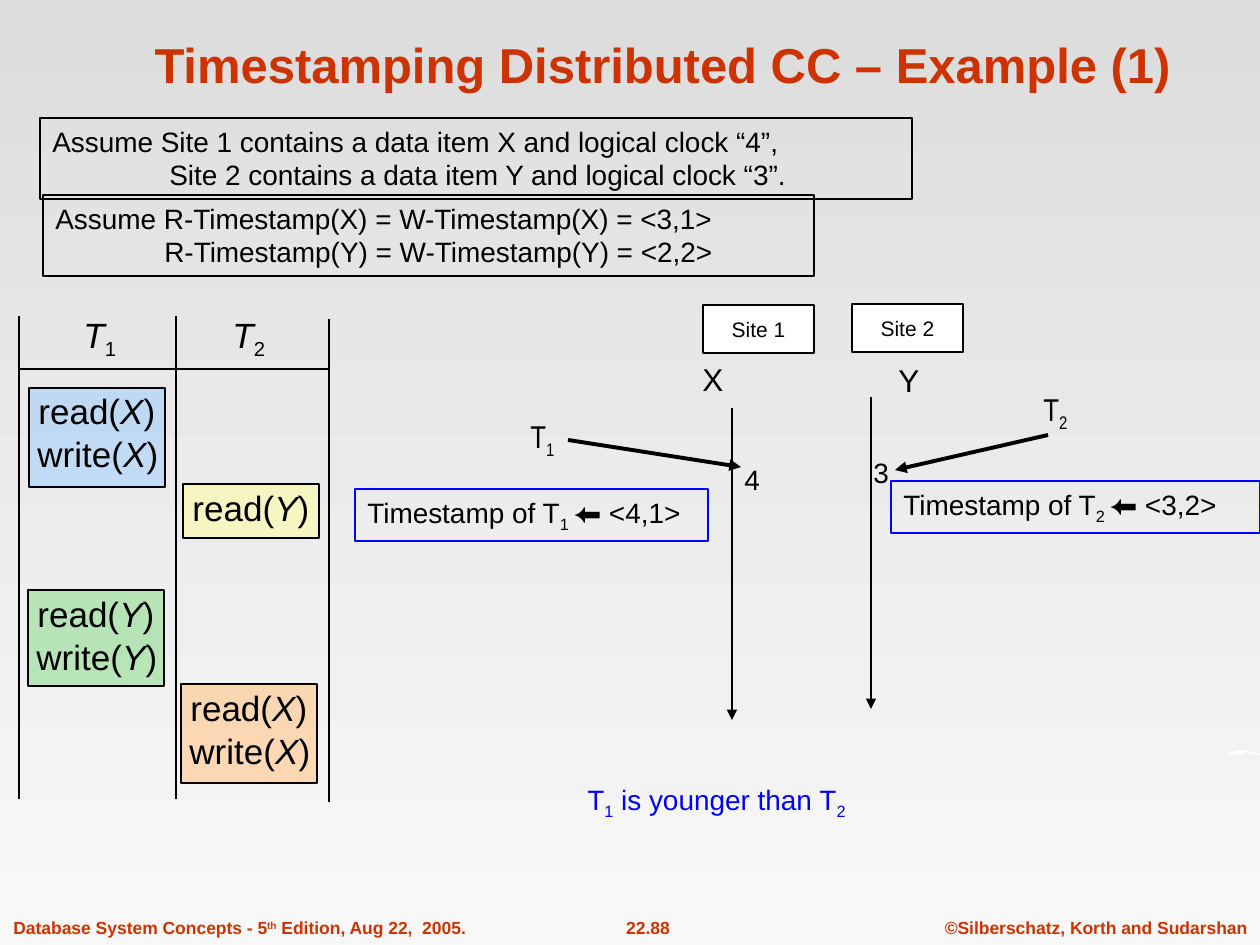
from dataclasses import dataclass

from lxml import etree
from pptx import Presentation
from pptx.dml.color import RGBColor
from pptx.enum.shapes import MSO_CONNECTOR, MSO_SHAPE
from pptx.enum.text import MSO_ANCHOR, MSO_AUTO_SIZE, PP_ALIGN
from pptx.oxml.ns import qn
from pptx.util import Pt

STRAIGHT = MSO_CONNECTOR.STRAIGHT
RECT = MSO_SHAPE.RECTANGLE
LEFT, CENTER = PP_ALIGN.LEFT, PP_ALIGN.CENTER
TOP, MIDDLE, BOTTOM = MSO_ANCHOR.TOP, MSO_ANCHOR.MIDDLE, MSO_ANCHOR.BOTTOM
FIT = MSO_AUTO_SIZE.SHAPE_TO_FIT_TEXT
EMU_PER_PX = 914400 / 126
BASELINE = {"sub": "-25000", "sup": "30000"}


@dataclass(frozen=True)
class Theme:
    font: str = "Arial"
    narrow: str = "Arial Narrow"
    accent: str = "CC3300"
    ink: str = "000000"
    blue: str = "0000FF"
    white: str = "FFFFFF"
    sky: str = "99CCFF"
    yellow: str = "FFFF99"
    green: str = "33CC33"
    orange: str = "FFCC99"
    bg_top: str = "DDDDDD"
    bg_bottom: str = "F8F8F8"
    title: int = 28
    schedule: int = 20
    label: int = 18
    body: int = 16
    site: int = 12
    footer: int = 10
    thin: float = 0.75
    thick: float = 2.25


T = Theme()


def px(n):
    return round(n * EMU_PER_PX)


def rgb(color):
    return RGBColor.from_string(color)


def write(p, runs, size, color=T.ink, font=T.font, bold=False, align=LEFT, indent=0):
    if indent:
        p._p.get_or_add_pPr().set("marL", str(px(indent)))
    p.alignment = align
    p.font.size = Pt(size)
    p.font.name = font
    p.font.bold = bold
    p.font.color.rgb = rgb(color)
    for text, mark in runs:
        r = p.add_run()
        r.text = text
        if mark == "i":
            r.font.italic = True
        elif mark:
            r._r.get_or_add_rPr().set("baseline", BASELINE[mark])


def label(s, box, runs, size, wrap=False, **style):
    tf = s.shapes.add_textbox(*map(px, box)).text_frame
    tf.word_wrap = wrap
    tf.auto_size = FIT
    write(tf.paragraphs[0], runs, size, **style)


def rect(s, box, fill=None, alpha=100, line=T.ink):
    sp = s.shapes.add_shape(RECT, *map(px, box))
    sp.shadow.inherit = False
    sp.line.color.rgb = rgb(line)
    sp.line.width = Pt(T.thin)
    if fill is None:
        sp.fill.background()
        return sp
    sp.fill.solid()
    sp.fill.fore_color.rgb = rgb(fill)
    if alpha < 100:
        color = sp._element.spPr.find(qn("a:solidFill"))[0]
        etree.SubElement(color, qn("a:alpha")).set("val", str(alpha * 1000))
    return sp


def note(s, box, lines, indent=0, line=T.ink):
    tf = rect(s, box, line=line).text_frame
    tf.word_wrap = True
    tf.vertical_anchor = TOP
    tf.auto_size = FIT
    for i, runs in enumerate(lines):
        p = tf.add_paragraph() if i else tf.paragraphs[0]
        write(p, runs, T.body, indent=indent if i else 0)


def site(s, box, name):
    tf = rect(s, box, fill=T.white).text_frame
    tf.word_wrap = False
    tf.vertical_anchor = MIDDLE
    write(tf.paragraphs[0], [(name, "")], T.site, align=CENTER)


def line(s, ends, width=T.thin, arrow=False):
    c = s.shapes.add_connector(STRAIGHT, *map(px, ends))
    c.line.color.rgb = rgb(T.ink)
    c.line.width = Pt(width)
    if arrow:
        etree.SubElement(c.line._get_or_add_ln(), qn("a:tailEnd")).set("type", "triangle")
    etree.SubElement(c._element.spPr, qn("a:effectLst"))


def background(s):
    fill = s.background.fill
    fill.gradient()
    fill.gradient_angle = 270
    for stop, color in zip(fill.gradient_stops, (T.bg_top, T.bg_bottom)):
        stop.color.rgb = rgb(color)


def title(s, text):
    sp = s.shapes.title
    sp.left, sp.top, sp.width, sp.height = map(px, (106, 16, 1113, 84))
    tf = sp.text_frame
    tf.word_wrap = True
    tf.vertical_anchor = BOTTOM
    write(tf.paragraphs[0], [(text, "")], T.title, T.accent, bold=True, align=CENTER)


def footer(s):
    edition = [("Database System Concepts - 5", ""), ("th", "sup"),
               (" Edition, Aug 22,  2005.", "")]
    for left, width, runs, align in (
        (932, 328, [("©Silberschatz, Korth and Sudarshan", "")], CENTER),
        (581, 134, [("22.88", "")], CENTER),
        (1, 478, edition, LEFT),
    ):
        label(s, (left, 911, width, 34), runs, T.footer, color=T.accent, bold=True, align=align)


def swoosh(s):
    outline = [(1228, 757), (1230, 753), (1235, 751), (1241, 750), (1249, 751),
               (1256, 753), (1260, 754), (1256, 755), (1249, 753), (1244, 752),
               (1245, 756), (1241, 752), (1241, 756), (1237, 752), (1238, 756),
               (1235, 753), (1231, 755)]
    fb = s.shapes.build_freeform(*outline[0], scale=EMU_PER_PX)
    fb.add_line_segments(outline[1:], close=True)
    sp = fb.convert_to_shape()
    sp.shadow.inherit = False
    sp.fill.solid()
    sp.fill.fore_color.rgb = rgb(T.white)
    sp.line.fill.background()


def operation(s, box, text_at, item, actions, fill, alpha):
    rect(s, box, fill, alpha)
    left, top = text_at
    for i, action in enumerate(actions):
        runs = [(action + "(", ""), (item, "i"), (")", "")]
        label(s, (left - i, top + 43 * i, 142 + 13 * i, 55), runs, T.schedule)


def schedule(s):
    for x, top in ((19, 316), (176, 316), (329, 319)):
        line(s, (x, top, x, top + 483))
    line(s, (19, 369, 329, 369))
    for left, number in ((71, "1"), (220, "2")):
        label(s, (left, 307, 58, 60), [("T", "i"), (number, "sub")], T.schedule)
    both = ("read", "write")
    operation(s, (29, 388, 136, 99), (26, 383), "X", both, T.sky, 50)
    operation(s, (183, 484, 136, 54), (180, 480), "Y", both[:1], T.yellow, 50)
    operation(s, (28, 590, 136, 96), (25, 586), "Y", both, T.green, 30)
    operation(s, (181, 684, 136, 99), (178, 680), "X", both, T.orange, 70)


def timelines(s):
    site(s, (703, 305, 111, 48), "Site 1")
    site(s, (852, 304, 111, 48), "Site 2")
    for box, item in (((690, 354, 63, 50), "X"), ((886, 355, 45, 50), "Y")):
        label(s, box, [(item, "")], T.label)
    for box, number in (((518, 411, 49, 55), "1"), ((1031, 384, 53, 55), "2")):
        label(s, box, [("T", ""), (number, "sub")], T.label, font=T.narrow)
    for x, top in ((732, 408), (871, 397)):
        line(s, (x, top, x, top + 312), arrow=True)
    for ends in ((568, 440, 741, 467), (1048, 435, 895, 470)):
        line(s, ends, T.thick, arrow=True)
    for box, clock in (((732, 456, 67, 47), "4"), ((861, 449, 67, 47), "3")):
        label(s, box, [(clock, "")], T.body, wrap=True)
    for box, number, stamp in (((355, 489, 353, 52), "1", "<4,1>"),
                               ((891, 481, 369, 52), "2", "<3,2>")):
        runs = [("Timestamp of T", ""), (number + " ", "sub"), ("⬅ " + stamp, "")]
        note(s, box, [runs], line=T.blue)


def main():
    prs = Presentation()
    prs.slide_width, prs.slide_height = px(1260), px(945)
    s = prs.slides.add_slide(prs.slide_layouts[5])
    background(s)
    footer(s)
    swoosh(s)
    title(s, "Timestamping Distributed CC – Example (1)")
    note(s, (40, 118, 872, 81), [
        [("Assume Site 1 contains a data item X and logical clock “4”,", "")],
        [("Site 2 contains a data item Y and logical clock “3”.", "")],
    ], indent=117)
    note(s, (43, 195, 771, 81), [
        [("Assume R-Timestamp(X) = W-Timestamp(X) = <3,1>", "")],
        [("R-Timestamp(Y) = W-Timestamp(Y) = <2,2>", "")],
    ], indent=109)
    schedule(s)
    timelines(s)
    label(s, (575, 776, 331, 52), [("T", ""), ("1", "sub"), (" is younger than T", ""),
          ("2", "sub")], T.body, wrap=True, color=T.blue)
    prs.save("out.pptx")


if __name__ == "__main__":
    main()
